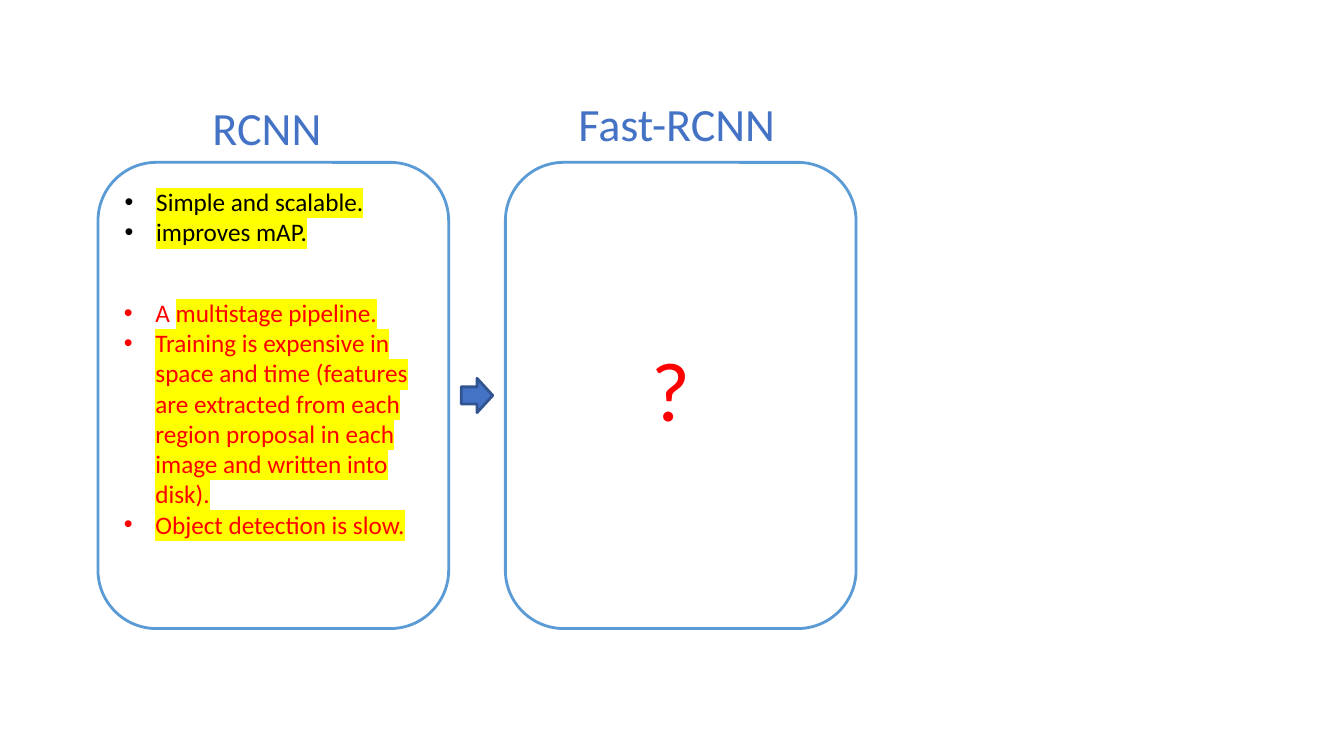
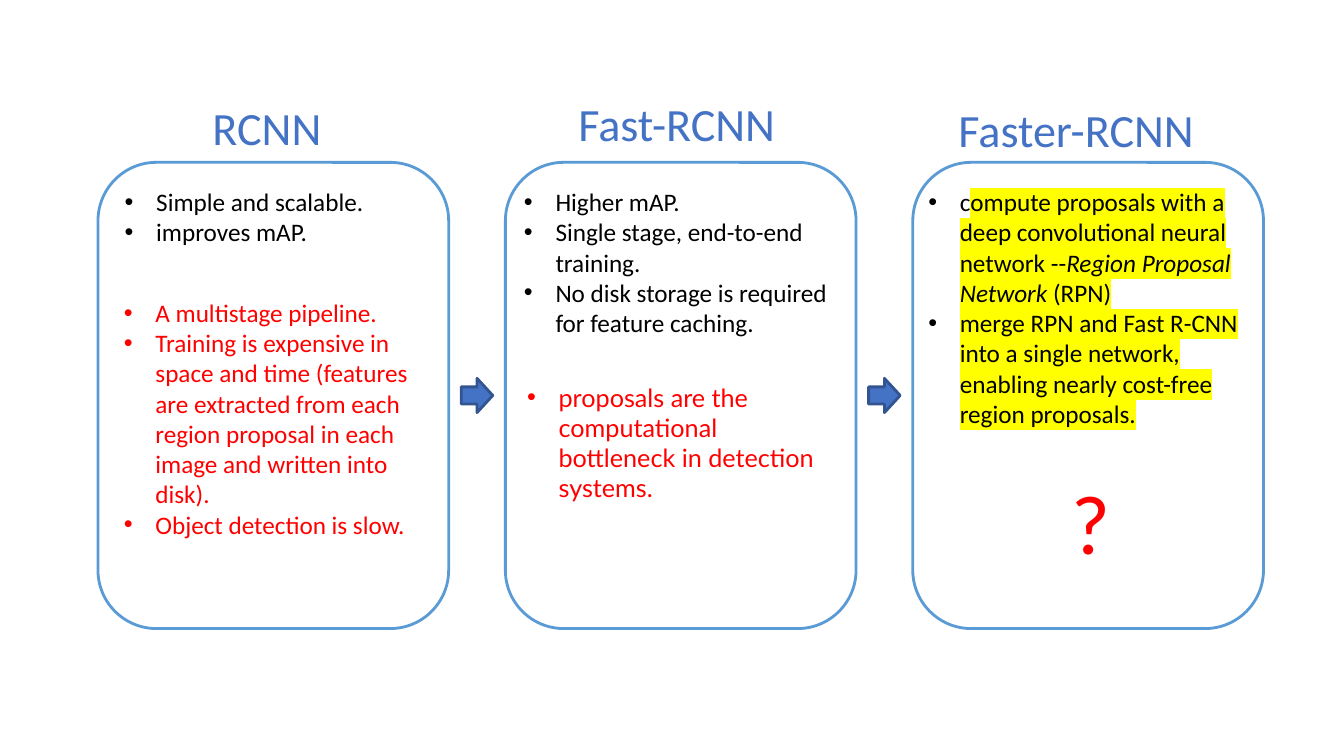
import dataclasses

import lxml.etree
import pptx
import pptx.dml.color
import pptx.enum.shapes
import pptx.enum.text
import pptx.oxml.ns
import pptx.util

Pt = pptx.util.Pt
qn = pptx.oxml.ns.qn
SHAPES = pptx.enum.shapes.MSO_SHAPE

BLACK, RED, WHITE, YELLOW = "000000", "FF0000", "FFFFFF", "FFFF00"
HEADING_BLUE, PANEL_BLUE, ARROW_BLUE = "4472C4", "5B9BD5", "325491"
FONT = "Calibri"
BODY_SIZE, HEADING_SIZE, QUESTION_SIZE = 18, 33, 60
FIRST_LEFT, COLUMN_PITCH = 70, 291
PANEL_TOP, PANEL_WIDTH, PANEL_HEIGHT = 116, 250.5, 333
ARROW_WIDTH, ARROW_HEIGHT = 22.5, 24.5
BODY_TOP, BODY_WIDTH = 129.6, 238.3
INDENT = 22.5


@dataclasses.dataclass
class Span:
    text: str
    marked: bool = False
    italic: bool = False


def rgb(value):
    return pptx.dml.color.RGBColor.from_string(value)


def column_left(column):
    return FIRST_LEFT + column * COLUMN_PITCH


def add_block(page, kind, left, top, width, height, fill, line):
    block = page.shapes.add_shape(kind, Pt(left), Pt(top), Pt(width), Pt(height))
    block.shadow.inherit = False
    block.fill.solid()
    block.fill.fore_color.rgb = rgb(fill)
    block.line.color.rgb = rgb(line)
    block.line.width = Pt(2)


def add_panel(page, column):
    add_block(page, SHAPES.ROUNDED_RECTANGLE, column_left(column), PANEL_TOP,
              PANEL_WIDTH, PANEL_HEIGHT, WHITE, PANEL_BLUE)


def add_arrow(page, column):
    gap = COLUMN_PITCH - PANEL_WIDTH
    left = column_left(column) + PANEL_WIDTH + (gap - ARROW_WIDTH) / 2
    top = PANEL_TOP + (PANEL_HEIGHT - ARROW_HEIGHT) / 2
    add_block(page, SHAPES.RIGHT_ARROW, left, top, ARROW_WIDTH, ARROW_HEIGHT,
              HEADING_BLUE, ARROW_BLUE)


def add_box(page, left, top, width, height):
    box = page.shapes.add_textbox(Pt(left), Pt(top), Pt(width), Pt(height))
    box.text_frame.word_wrap = True
    box.text_frame.auto_size = pptx.enum.text.MSO_AUTO_SIZE.SHAPE_TO_FIT_TEXT
    return box


def style_font(font, size, color, name=FONT):
    font.size = Pt(size)
    font.name = name
    font.color.rgb = rgb(color)


def add_label(page, text, left, top, width, height, size, color):
    box = add_box(page, left, top, width, height)
    box.text_frame.text = text
    style_font(box.text_frame.paragraphs[0].runs[0].font, size, color)


def add_heading(page, text, left, top, width):
    add_label(page, text, left, top, width, 46.8, HEADING_SIZE, HEADING_BLUE)


def add_question(page, left, top):
    add_label(page, "?", left, top, 171.4, 79.2, QUESTION_SIZE, RED)


def set_bullet(para, color):
    properties = para._p.get_or_add_pPr()
    properties.set("marL", str(Pt(INDENT)))
    properties.set("indent", str(-Pt(INDENT)))
    bullet_color = lxml.etree.SubElement(properties, qn("a:buClr"))
    lxml.etree.SubElement(bullet_color, qn("a:srgbClr"), val=color)
    lxml.etree.SubElement(properties, qn("a:buFont"), typeface="Arial")
    lxml.etree.SubElement(properties, qn("a:buChar"), char="•")


def set_highlight(run):
    highlight = lxml.etree.Element(qn("a:highlight"))
    lxml.etree.SubElement(highlight, qn("a:srgbClr"), val=YELLOW)
    run._r.get_or_add_rPr().find(qn("a:solidFill")).addnext(highlight)


def add_bullets(page, left, top, width, height, color, items, font_name=FONT):
    frame = add_box(page, left, top, width, height).text_frame
    for index, spans in enumerate(items):
        para = frame.add_paragraph() if index else frame.paragraphs[0]
        set_bullet(para, color)
        for span in spans:
            run = para.add_run()
            run.text = span.text
            style_font(run.font, BODY_SIZE, color, font_name)
            if span.italic:
                run.font.italic = True
            if span.marked:
                set_highlight(run)


def add_rcnn(page, marked):
    add_panel(page, 0)
    add_heading(page, "RCNN", 144.7, 67.7, 125)
    add_bullets(page, 82, BODY_TOP, BODY_WIDTH, 50.4, BLACK, [
        [Span("Simple and scalable.", marked)],
        [Span("improves mAP.", marked)],
    ])
    add_bullets(page, 81.4, 208.8, BODY_WIDTH, 180, RED, [
        [Span("A "), Span("multistage pipeline.", marked)],
        [Span("Training is expensive in space and time (features are extracted "
              "from each region proposal in each image and written into disk).",
              marked)],
        [Span("Object detection is slow.", marked)],
    ])


def add_fast_rcnn(page):
    add_panel(page, 1)
    add_heading(page, "Fast-RCNN", 406, 64.8, 195)
    add_arrow(page, 0)


def add_fast_rcnn_points(page):
    add_bullets(page, 367.2, BODY_TOP, BODY_WIDTH, 115.2, BLACK, [
        [Span("Higher mAP.")],
        [Span("Single stage, end-to-end training.")],
        [Span("No disk storage is required for feature caching.")],
    ])
    add_bullets(page, 369.4, 269.3, 234, 93.6, RED, [
        [Span("proposals are the computational bottleneck in detection systems.")],
    ], "Lato")


def add_faster_rcnn(page):
    add_panel(page, 2)
    add_heading(page, "Faster-RCNN", 677.5, 69.1, 224.6)
    add_arrow(page, 1)
    add_bullets(page, 656, BODY_TOP, 256.3, 180, BLACK, [
        [Span("c"),
         Span("ompute proposals with a deep convolutional neural network --", True),
         Span("Region Proposal Network ", True, True),
         Span("(RPN)", True)],
        [Span("merge RPN and Fast R-CNN into a single network, enabling nearly "
              "cost-free region proposals.", True)],
    ])


def main():
    deck = pptx.Presentation()
    deck.slide_width, deck.slide_height = Pt(960), Pt(540)
    blank = deck.slide_layouts[6]

    page = deck.slides.add_slide(blank)
    add_rcnn(page, True)
    add_fast_rcnn(page)
    add_question(page, 458.6, 237.6)

    page = deck.slides.add_slide(blank)
    add_rcnn(page, False)
    add_fast_rcnn(page)
    add_fast_rcnn_points(page)
    add_faster_rcnn(page)
    add_question(page, 758.2, 332.6)

    deck.save("out.pptx")


if __name__ == "__main__":
    main()
